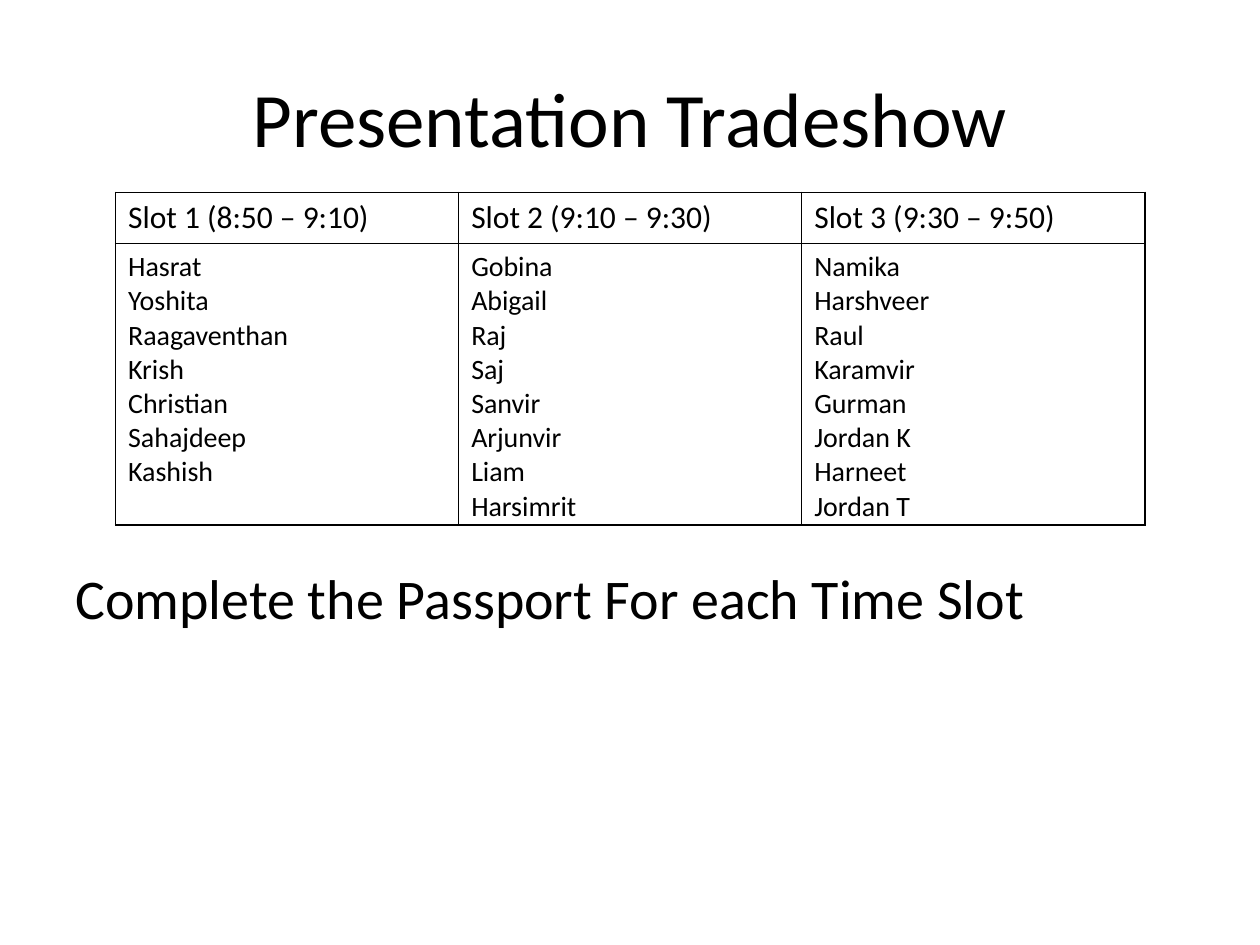
from lxml import etree
from pptx import Presentation
from pptx import util as u
from pptx.dml.color import RGBColor
from pptx.enum import text
from pptx.oxml.ns import qn


def color(value):
    return RGBColor.from_string(value)


class Deck:
    font = "Calibri"
    ink = "000000"
    border = 1

    def __init__(self, width, height):
        self.prs = Presentation()
        self.prs.slide_width = u.Cm(width)
        self.prs.slide_height = u.Cm(height)
        self.s = self.prs.slides.add_slide(self.prs.slide_layouts[6])

    def set_text(self, tf, content, size, align=text.PP_ALIGN.LEFT):
        tf.text = content
        for p in tf.paragraphs:
            p.alignment = align
            for r in p.runs:
                r.font.name = self.font
                r.font.size = u.Pt(size)
                r.font.color.rgb = color(self.ink)

    def text_box(self, box, content, size, align=text.PP_ALIGN.LEFT,
                 anchor=text.MSO_ANCHOR.TOP, before=0):
        sp = self.s.shapes.add_textbox(*map(u.Cm, box))
        tf = sp.text_frame
        tf.word_wrap = True
        tf.vertical_anchor = anchor
        self.set_text(tf, content, size, align)
        tf.paragraphs[0].space_before = u.Pt(before)

    def outline(self, cell):
        tc_pr = cell._tc.get_or_add_tcPr()
        for i, side in enumerate(("lnL", "lnR", "lnT", "lnB")):
            ln = etree.Element(qn("a:" + side), w=str(u.Pt(self.border)))
            fill = etree.SubElement(ln, qn("a:solidFill"))
            etree.SubElement(fill, qn("a:srgbClr"), val=self.ink)
            tc_pr.insert(i, ln)

    def table(self, box, rows, heights, sizes):
        frame = self.s.shapes.add_table(len(rows), len(rows[0]), *map(u.Cm, box))
        tbl = frame.table
        tbl.first_row = tbl.horz_banding = False
        for row, contents, height, size in zip(tbl.rows, rows, heights, sizes):
            row.height = u.Cm(height)
            for cell, content in zip(row.cells, contents):
                cell.fill.background()
                self.set_text(cell.text_frame, content, size)
                self.outline(cell)


slots = {
    "Slot 1 (8:50 – 9:10)": ["Hasrat", "Yoshita", "Raagaventhan", "Krish",
                             "Christian", "Sahajdeep", "Kashish"],
    "Slot 2 (9:10 – 9:30)": ["Gobina", "Abigail", "Raj", "Saj", "Sanvir",
                             "Arjunvir", "Liam", "Harsimrit"],
    "Slot 3 (9:30 – 9:50)": ["Namika", "Harshveer", "Raul", "Karamvir",
                             "Gurman", "Jordan K", "Harneet", "Jordan T"],
}

deck = Deck(25.4, 19.05)
deck.text_box((1.27, 0.76, 22.86, 3.18), "Presentation Tradeshow", 44,
              text.PP_ALIGN.CENTER, text.MSO_ANCHOR.MIDDLE)
deck.text_box((1.27, 11.23, 22.86, 5.79),
              "Complete the Passport For each Time Slot", 32, before=6.4)
deck.table((2.33, 3.88, 20.75, 6.7),
           [list(slots), ["\n".join(names) for names in slots.values()]],
           (1.03, 5.67), (18, 16))
deck.prs.save("out.pptx")
